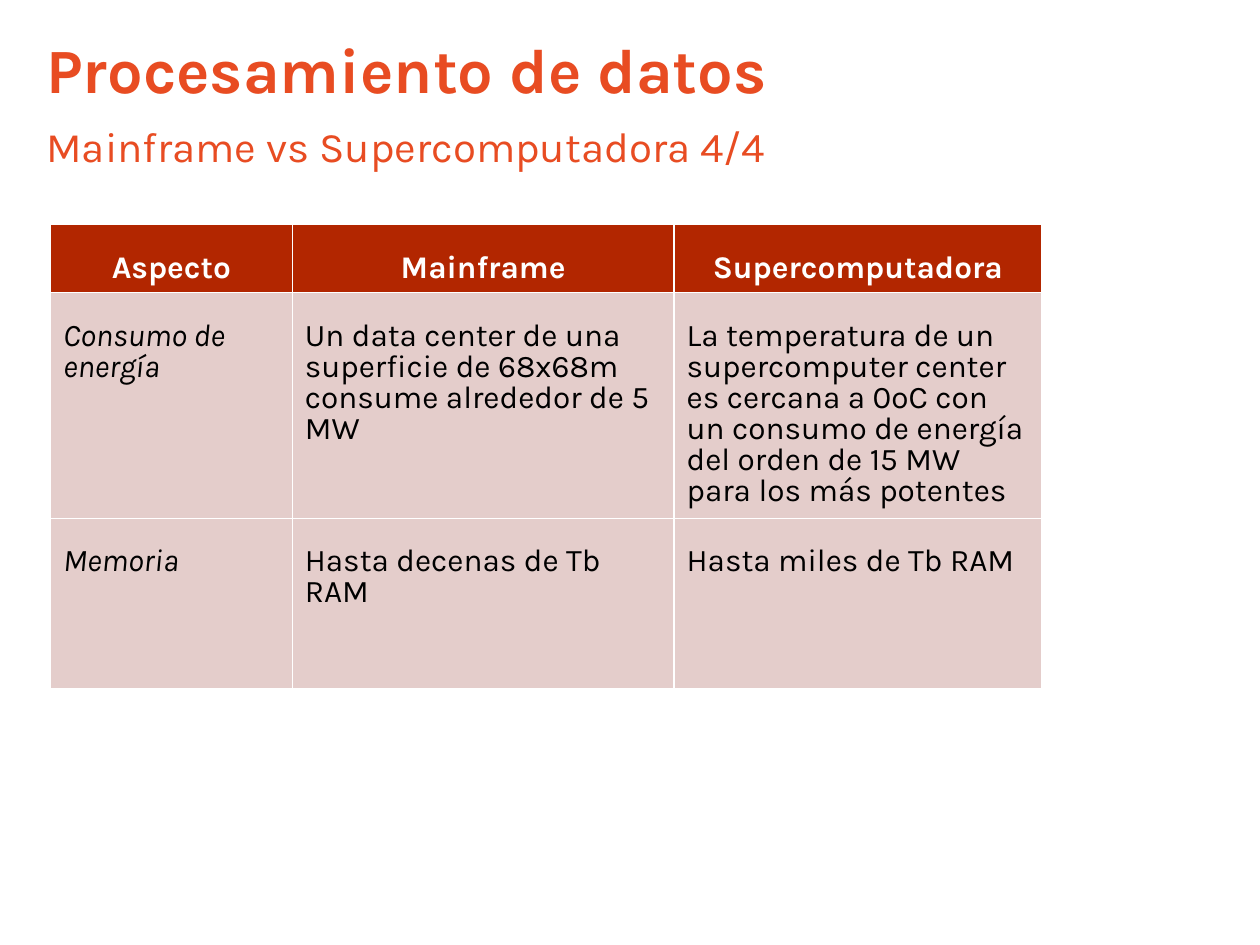
from lxml import etree
from pptx import Presentation
from pptx.dml.color import RGBColor
from pptx.enum.text import MSO_ANCHOR, PP_ALIGN
from pptx.oxml.ns import qn
from pptx.util import Inches, Pt

LEFT, CENTER = PP_ALIGN.LEFT, PP_ALIGN.CENTER
TOP, MIDDLE = MSO_ANCHOR.TOP, MSO_ANCHOR.MIDDLE

ORANGE = RGBColor(0xE8, 0x4C, 0x22)
RED = RGBColor(0xB2, 0x26, 0x00)
PINK = RGBColor(0xE4, 0xCD, 0xCB)
WHITE = RGBColor(0xFF, 0xFF, 0xFF)
BLACK = RGBColor(0x00, 0x00, 0x00)

WIDTH, HEIGHT = 10, 7.5
COLUMN_WIDTHS = (1.92, 3.03, 2.92)
ROW_HEIGHTS = (0.54, 1.35, 1.35)
ROWS = (
    ("Aspecto", "Mainframe", "Supercomputadora"),
    (
        "Consumo de energía",
        "Un data center de una superficie de 68x68m consume alrededor de 5 MW",
        "La temperatura de un supercomputer center es cercana a 0ºC con un "
        "consumo de energía del orden de 15 MW para los más potentes",
    ),
    ("Memoria", "Hasta decenas de Tb RAM", "Hasta miles de Tb RAM"),
)


class SlideBuilder:
    """Holds the text style and the current slide."""

    font_name = "Karla"
    cell_margins = {
        "margin_left": Inches(0.1),
        "margin_right": Inches(0.1),
        "margin_top": Inches(0.23),
        "margin_bottom": Inches(0.05),
    }

    def __init__(self, presentation):
        self.slide = presentation.slides.add_slide(presentation.slide_layouts[6])

    def format_font(self, font, color, **values):
        for name, value in {"name": self.font_name, **values}.items():
            setattr(font, name, value)
        font.color.rgb = color

    def heading(self, text, left, top, width, height, anchor=TOP, **values):
        box = self.slide.shapes.add_textbox(
            Inches(left), Inches(top), Inches(width), Inches(height))
        frame = box.text_frame
        frame.word_wrap = True
        frame.vertical_anchor = anchor
        frame.text = text
        self.format_font(frame.paragraphs[0].runs[0].font, ORANGE, **values)

    def table(self, rows, left, top, widths, heights):
        table = self.slide.shapes.add_table(
            len(rows), len(widths), Inches(left), Inches(top),
            Inches(sum(widths)), Inches(sum(heights))).table
        for column, width in zip(table.columns, widths):
            column.width = Inches(width)
        for row, height in zip(table.rows, heights):
            row.height = Inches(height)
        for row_index, texts in enumerate(rows):
            for column_index, text in enumerate(texts):
                self.cell(table.cell(row_index, column_index), text,
                          header=row_index == 0, label=column_index == 0)

    def cell(self, cell, text, header, label):
        for name, value in self.cell_margins.items():
            setattr(cell, name, value)
        self.borders(cell)
        cell.fill.solid()
        cell.fill.fore_color.rgb = RED if header else PINK
        cell.text = text
        paragraph = cell.text_frame.paragraphs[0]
        paragraph.alignment = CENTER if header else LEFT
        paragraph.line_spacing = 0.84
        self.format_font(paragraph.runs[0].font, WHITE if header else BLACK,
                         size=Pt(18), bold=header, italic=label and not header)

    def borders(self, cell):
        properties = cell._tc.get_or_add_tcPr()
        for side in ("a:lnL", "a:lnR", "a:lnT", "a:lnB"):
            line = etree.SubElement(properties, qn(side), w=str(Pt(0.75)))
            fill = etree.SubElement(line, qn("a:solidFill"))
            etree.SubElement(fill, qn("a:srgbClr"), val=str(WHITE))


def main():
    presentation = Presentation()
    presentation.slide_width = Inches(WIDTH)
    presentation.slide_height = Inches(HEIGHT)
    builder = SlideBuilder(presentation)

    # Title and subtitle
    builder.heading("Procesamiento de datos", 0.27, 0.13, 7.67, 0.82,
                    anchor=MIDDLE, size=Pt(36), bold=True)
    builder.heading("Mainframe vs Supercomputadora 4/4", 0.27, 0.91, 7.17, 0.62,
                    size=Pt(24))

    # Comparison table
    builder.table(ROWS, 0.4, 1.78, COLUMN_WIDTHS, ROW_HEIGHTS)

    presentation.save("out.pptx")


if __name__ == "__main__":
    main()
